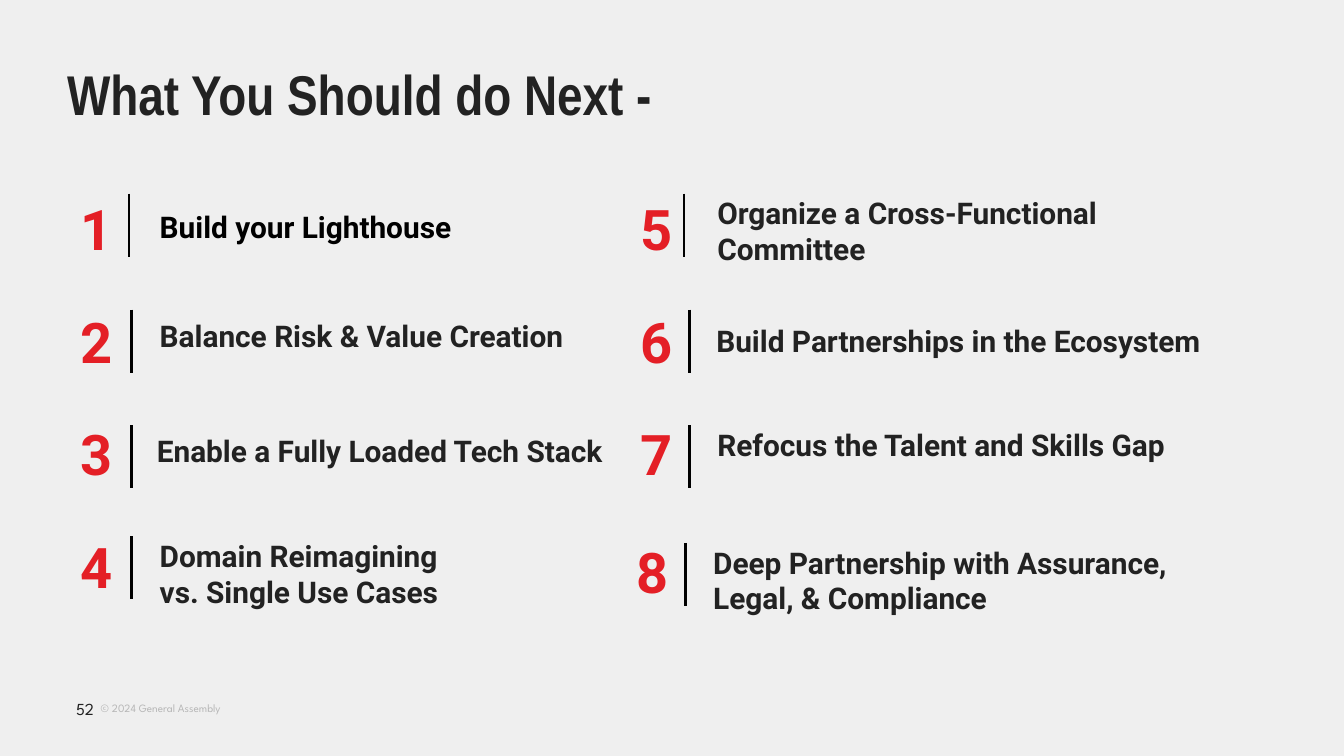
from pptx import Presentation
from pptx.dml.color import RGBColor
from pptx.enum import shapes, text
from pptx.oxml import ns
from pptx.util import Pt
from lxml import etree

COLORS = {"background": "EFEFEF", "ink": "222222", "accent": "E41F26",
          "black": "000000", "muted": "B7B7B7"}
BODY_FONT, FOOTER_FONT, TITLE_FONT = "Roboto", "League Spartan", "Arial Narrow"
LEFT, TOP = text.PP_ALIGN.LEFT, text.MSO_ANCHOR.TOP


def rgb(name):
    return RGBColor.from_string(COLORS[name])


def write(frame, lines, size, font, color, bold=False, align=LEFT, anchor=TOP, inset=0):
    """Fill a text frame, one paragraph for each line."""
    frame.word_wrap = True
    frame.auto_size = text.MSO_AUTO_SIZE.NONE
    frame.vertical_anchor = anchor
    frame.margin_left = frame.margin_right = Pt(inset)
    frame.margin_top = frame.margin_bottom = Pt(inset)
    for index, line in enumerate(lines):
        paragraph = frame.add_paragraph() if index else frame.paragraphs[0]
        paragraph.alignment = align
        run = paragraph.add_run()
        run.text = line
        run.font.size, run.font.name, run.font.bold = Pt(size), font, bold
        run.font.color.rgb = rgb(color)


def add_text(slide, box, lines, size, font, color, **style):
    label = slide.shapes.add_textbox(*map(Pt, box))
    write(label.text_frame, lines, size, font, color, **style)


def add_title(slide, box, wording):
    title = slide.shapes.title
    title.left, title.top, title.width, title.height = map(Pt, box)
    write(title.text_frame, [wording], 30, TITLE_FONT, "ink", bold=True)
    title.text_frame.paragraphs[0].line_spacing = 0.9


def add_step(slide, box, number, lines, rule_at, label_at, color="ink"):
    """Place a number, a vertical rule and a label; offsets are from the box corner."""
    left, top, width, height = box
    add_text(slide, (left, top, 26, 36), [str(number)], 30, BODY_FONT, "accent",
             bold=True, align=text.PP_ALIGN.CENTER, inset=7.2)

    rule_x, rule_y = left + rule_at[0], top + rule_at[1]
    rule = slide.shapes.add_connector(shapes.MSO_CONNECTOR.STRAIGHT, Pt(rule_x), Pt(rule_y),
                                      Pt(rule_x), Pt(rule_y + 33.8))
    rule.line.color.rgb = rgb("black")
    rule.line.width = Pt(1.5)
    etree.SubElement(rule.element.spPr, ns.qn("a:effectLst"))

    label_x, label_y = label_at
    add_text(slide, (left + label_x, top + label_y, width - label_x, height), lines,
             16, BODY_FONT, color, bold=True, inset=7.2)


def add_steps(slide, box):
    """Number the steps down two columns of four."""
    left, top, width, height = box
    column_pitch, row_pitch = 300.2, height / 4
    # Lines, rule offset, label offset, shift of the whole step
    steps = [
        (["Build your Lighthouse"], (33.1, 6.5), (42.5, 7.2), (0, 0)),
        (["Balance Risk & Value Creation"], (34.6, 8.4), (42.5, 5.5), (0, 0)),
        (["Enable a Fully Loaded Tech Stack"], (34.6, 10), (41, 7), (0, 0)),
        (["Domain Reimagining", "vs. Single Use Cases"], (34.6, 9.2), (42.5, 2.7), (0, 0)),
        (["Organize a Cross-Functional Committee"], (30.2, 6.5), (41, 0), (0, 0)),
        (["Build Partnerships in the Ecosystem"], (33.1, 8.4), (40.5, 8.4), (0, 0)),
        (["Refocus the Talent and Skills Gap"], (33.1, 10), (41, 3.5), (0, 0)),
        (["Deep Partnership with Assurance, Legal, & Compliance"],
         (33.1, 10.1), (41, 3.6), (-2.2, 2.7)),
    ]
    for index, (lines, rule_at, label_at, (shift_x, shift_y)) in enumerate(steps):
        column, row = divmod(index, 4)
        step_width = width - column_pitch if column else column_pitch
        step_box = (left + column * column_pitch + shift_x,
                    top + row * row_pitch + shift_y, step_width, 47.5)
        add_step(slide, step_box, index + 1, lines, rule_at, label_at,
                 "ink" if index else "black")


def add_footer(slide, box):
    left, top, width, height = box
    middle = text.MSO_ANCHOR.MIDDLE
    add_text(slide, (left, top, 25.2, height), ["52"], 9, FOOTER_FONT, "ink",
             align=text.PP_ALIGN.RIGHT, anchor=middle)
    add_text(slide, (left + 28.8, top + 5, width - 28.8, 14.4), ["© 2024 General Assembly"],
             6, FOOTER_FONT, "muted", anchor=middle)


def main():
    deck = Presentation()
    deck.slide_width, deck.slide_height = Pt(720), Pt(405)
    slide = deck.slides.add_slide(deck.slide_layouts[5])
    slide.background.fill.solid()
    slide.background.fill.fore_color.rgb = rgb("background")

    add_title(slide, (36, 36, 648, 36), "What You Should do Next -")
    add_steps(slide, (36, 97.2, 632, 241.2))
    add_footer(slide, (25.2, 367.2, 100.8, 25.2))
    deck.save("out.pptx")


if __name__ == "__main__":
    main()
